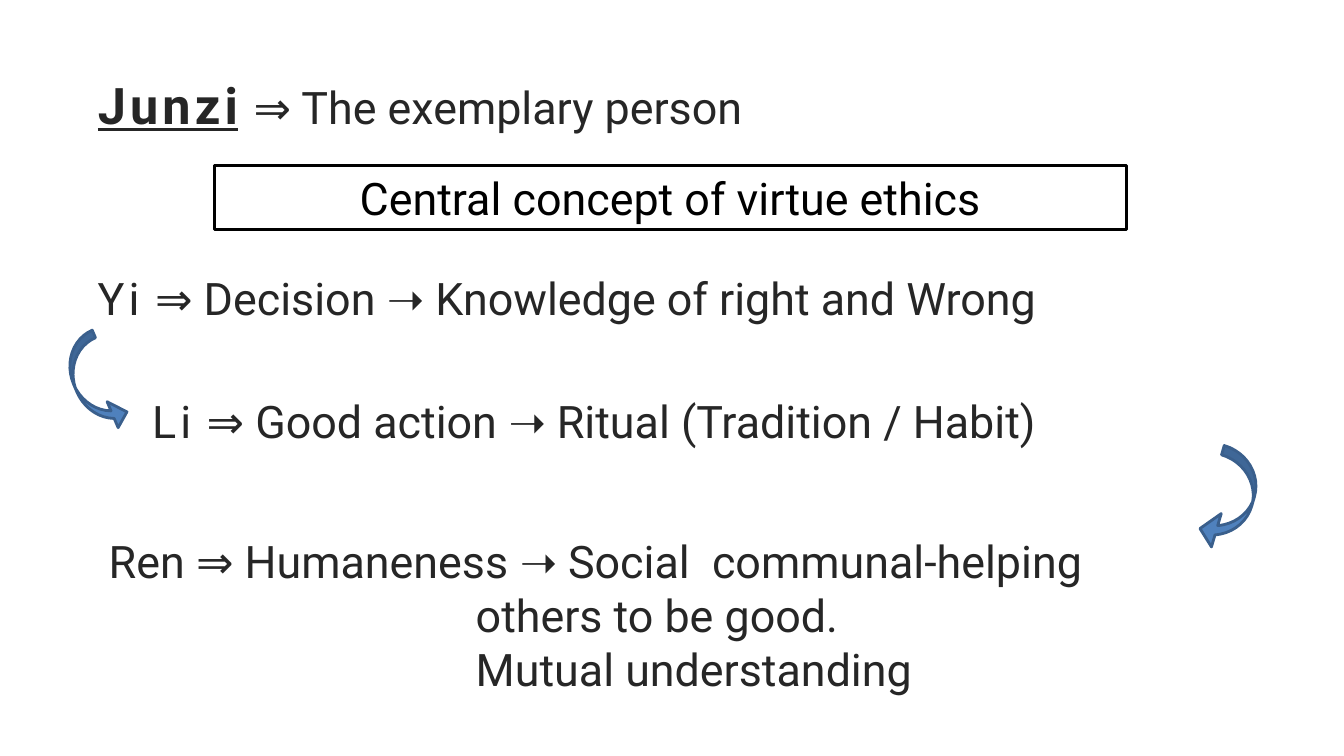
import dataclasses

import pptx
import pptx.dml.color
import pptx.enum.shapes
import pptx.enum.text
import pptx.shapes.autoshape
import pptx.slide
import pptx.text.text
import pptx.util

Inches = pptx.util.Inches
COLORS = {"text": "262626", "black": "000000", "arrow": "4F81BD", "arrow_edge": "3A5F8C"}
FONT = "Roboto"
TEXT_WIDTH, TEXT_HEIGHT = 11.33, 1.61
OUTCOME_INDENT = 3.64


@dataclasses.dataclass
class Concept:
    left: float
    top: float
    term: str
    meaning: str


@dataclasses.dataclass
class CurvedArrow:
    left: float
    top: float
    width: float
    height: float
    rotation: float
    adjustments: tuple[float, float, float]
    mirrored: bool = False


TITLE = Concept(0.87, 0.23, "Junzi", " ⇒ The exemplary person")
CONCEPTS = [
    Concept(0.87, 2.15, "Yi", " ⇒ Decision ➝ Knowledge of right and Wrong"),
    Concept(1.41, 3.37, "Li", " ⇒ Good action ➝ Ritual (Tradition / Habit)"),
]
REN_LINES = [
    ("Ren ⇒ Humaneness ➝ Social  communal-helping", 0),
    ("others to be good.", OUTCOME_INDENT),
    ("Mutual understanding", OUTCOME_INDENT),
]
ARROWS = [
    CurvedArrow(0.75, 3.31, 0.38, 1.02, 337, (0.214, 0.734, 0.373)),
    CurvedArrow(11.99, 4.46, 0.43, 1.03, 16.3, (0.223, 0.801, 0.373), mirrored=True),
]


def rgb(name: str) -> pptx.dml.color.RGBColor:
    return pptx.dml.color.RGBColor.from_string(COLORS[name])


def format_paragraph(paragraph: pptx.text.text._Paragraph, color: str = "text",
                     alignment: pptx.enum.text.PP_ALIGN = pptx.enum.text.PP_ALIGN.LEFT) -> None:
    paragraph.alignment = alignment
    paragraph.font.name = FONT
    paragraph.font.size = pptx.util.Pt(32)
    paragraph.font.color.rgb = rgb(color)


def add_text_box(slide: pptx.slide.Slide, left: float, top: float) -> pptx.shapes.autoshape.Shape:
    box = slide.shapes.add_textbox(Inches(left), Inches(top), Inches(TEXT_WIDTH), Inches(TEXT_HEIGHT))
    box.text_frame.word_wrap = True
    return box


def write_concept(shape: pptx.shapes.autoshape.Shape, concept: Concept) -> pptx.text.text._Run:
    """Fill the shape with a letter-spaced term and its meaning; return the term's run."""
    shape.text_frame.vertical_anchor = pptx.enum.text.MSO_ANCHOR.MIDDLE
    paragraph = shape.text_frame.paragraphs[0]
    format_paragraph(paragraph)
    term = paragraph.add_run()
    term.text = concept.term
    term.font._element.set("spc", "300")
    paragraph.add_run().text = concept.meaning
    return term


def add_title(slide: pptx.slide.Slide) -> None:
    title = slide.shapes.title
    title.left, title.top = Inches(TITLE.left), Inches(TITLE.top)
    title.width, title.height = Inches(TEXT_WIDTH), Inches(TEXT_HEIGHT)
    term = write_concept(title, TITLE)
    term.font.size = pptx.util.Pt(36)
    term.font.bold = True
    term.font.underline = True


def add_central_concept(slide: pptx.slide.Slide) -> None:
    frame = slide.shapes.add_shape(pptx.enum.shapes.MSO_SHAPE.RECTANGLE,
                                   Inches(2.13), Inches(1.64), Inches(9.04), Inches(0.64))
    frame.shadow.inherit = False
    frame.fill.background()
    frame.line.color.rgb = rgb("black")
    frame.line.width = pptx.util.Pt(2.25)
    frame.text_frame.word_wrap = True
    frame.text_frame.vertical_anchor = pptx.enum.text.MSO_ANCHOR.TOP
    paragraph = frame.text_frame.paragraphs[0]
    paragraph.text = "Central concept of virtue ethics"
    format_paragraph(paragraph, "black", pptx.enum.text.PP_ALIGN.CENTER)


def add_ren(slide: pptx.slide.Slide) -> None:
    text_frame = add_text_box(slide, 0.98, 5.25).text_frame
    for index, (text, indent) in enumerate(REN_LINES):
        paragraph = text_frame.add_paragraph() if index else text_frame.paragraphs[0]
        paragraph.text = text
        format_paragraph(paragraph)
        paragraph._p.get_or_add_pPr().set("marL", str(Inches(indent)))


def add_curved_arrow(slide: pptx.slide.Slide, arrow: CurvedArrow) -> None:
    shape = slide.shapes.add_shape(pptx.enum.shapes.MSO_SHAPE.CURVED_RIGHT_ARROW,
                                   Inches(arrow.left), Inches(arrow.top),
                                   Inches(arrow.width), Inches(arrow.height))
    for index, value in enumerate(arrow.adjustments):
        shape.adjustments[index] = value
    shape.rotation = arrow.rotation
    if arrow.mirrored:
        shape._element.spPr.xfrm.set("flipH", "1")
    shape.shadow.inherit = False
    shape.fill.solid()
    shape.fill.fore_color.rgb = rgb("arrow")
    shape.line.color.rgb = rgb("arrow_edge")
    shape.line.width = pptx.util.Pt(2)


def main() -> None:
    presentation = pptx.Presentation()
    presentation.slide_width, presentation.slide_height = Inches(13.33), Inches(7.5)
    slide = presentation.slides.add_slide(presentation.slide_layouts.get_by_name("Title Only"))
    add_title(slide)
    add_central_concept(slide)
    for concept in CONCEPTS:
        write_concept(add_text_box(slide, concept.left, concept.top), concept)
    add_ren(slide)
    for arrow in ARROWS:
        add_curved_arrow(slide, arrow)
    presentation.save("out.pptx")


if __name__ == "__main__":
    main()
